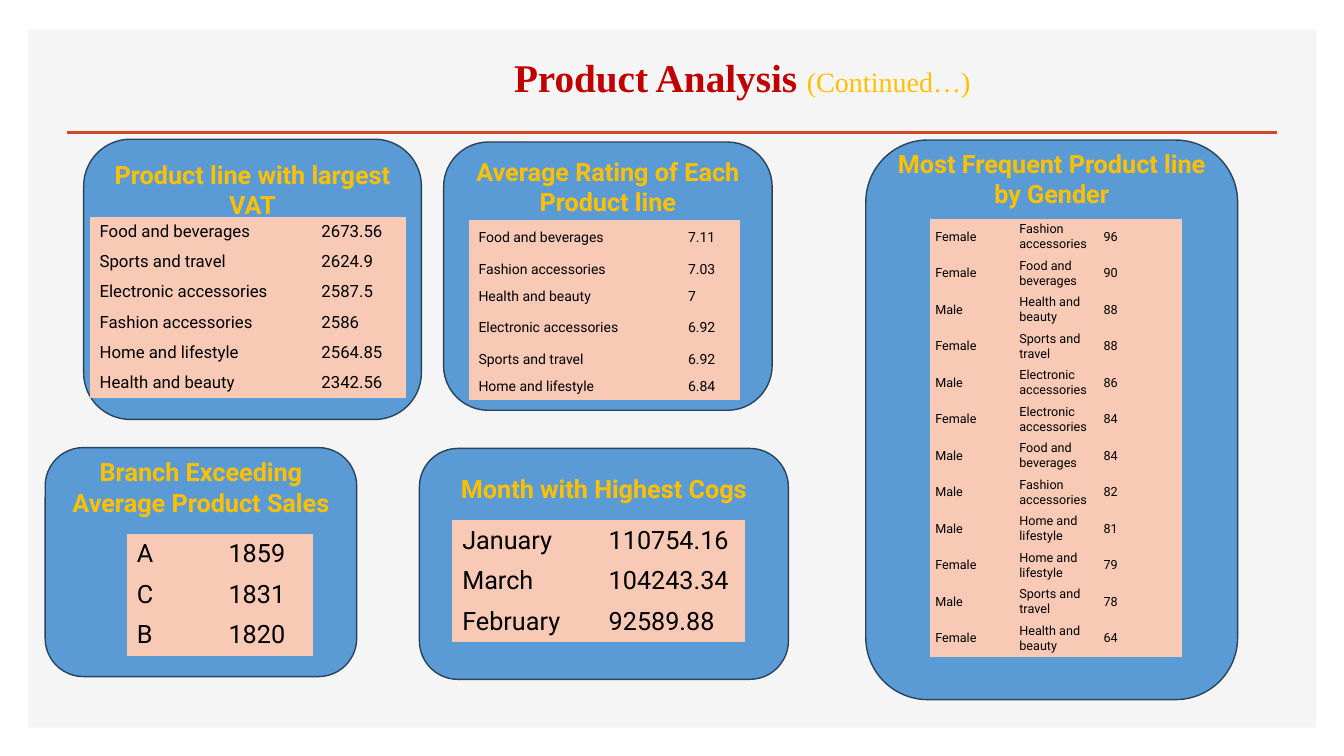
from pptx import Presentation
from pptx.dml.color import RGBColor
from pptx.enum.shapes import MSO_CONNECTOR, MSO_SHAPE
from pptx.enum.text import MSO_ANCHOR, MSO_AUTO_SIZE, PP_ALIGN
from pptx.oxml.ns import qn
from pptx.util import Cm, Pt

RECT, ROUNDED = MSO_SHAPE.RECTANGLE, MSO_SHAPE.ROUNDED_RECTANGLE
TOP, MIDDLE = MSO_ANCHOR.TOP, MSO_ANCHOR.MIDDLE
CENTER, LEFT = PP_ALIGN.CENTER, PP_ALIGN.LEFT
NO_STYLE = "{2D5ABB26-0587-4C30-8999-92F81FD0307C}"

PANEL, RULE, RED, GOLD = "F5F5F5", "D24726", "C00000", "FFC000"
BLUE, NAVY, PEACH, BLACK = "5B9BD5", "28445D", "F8CAB6", "000000"

# All lengths in cm: box is left, top, width, height; pad is the cell's side and top inset
CARDS = [
    {"heading": "Product line with largest VAT", "box": (2.11, 3.51, 8.51, 7.06),
     "heading_top": 4.01, "table_at": (2.26, 5.46), "cols": (5.59, 2.39),
     "heights": [0.76] * 6, "size": 12, "pad": (0.25, 0.13),
     "rows": [("Food and beverages", "2673.56"), ("Sports and travel", "2624.9"),
              ("Electronic accessories", "2587.5"), ("Fashion accessories", "2586"),
              ("Home and lifestyle", "2564.85"), ("Health and beauty", "2342.56")]},
    {"heading": "Branch Exceeding Average Product Sales", "box": (1.14, 11.28, 7.85, 5.77),
     "heading_top": 11.51, "table_at": (3.2, 13.46), "cols": (2.31, 2.39),
     "heights": [1.02] * 3, "size": 18, "pad": (0.25, 0.13),
     "rows": [("A", "1859"), ("C", "1831"), ("B", "1820")]},
    {"heading": "Average Rating of Each Product line", "box": (11.18, 3.58, 8.28, 6.76),
     "heading_top": 3.94, "table_at": (11.81, 5.54), "cols": (5.28, 1.57),
     "heights": [0.92, 0.67, 0.67] * 2, "size": 10, "pad": (0.25, 0.13),
     "rows": [("Food and beverages", "7.11"), ("Fashion accessories", "7.03"),
              ("Health and beauty", "7"), ("Electronic accessories", "6.92"),
              ("Sports and travel", "6.92"), ("Home and lifestyle", "6.84")]},
    {"heading": "Most Frequent Product line by Gender", "box": (21.82, 3.53, 9.37, 14.1),
     "heading_top": 3.73, "table_at": (23.44, 5.51), "cols": (2.12, 2.12, 2.12),
     "heights": [0.92] * 12, "size": 9, "pad": (0.13, 0.08),
     "rows": [("Female", "Fashion accessories", "96"), ("Female", "Food and beverages", "90"),
              ("Male", "Health and beauty", "88"), ("Female", "Sports and travel", "88"),
              ("Male", "Electronic accessories", "86"), ("Female", "Electronic accessories", "84"),
              ("Male", "Food and beverages", "84"), ("Male", "Fashion accessories", "82"),
              ("Male", "Home and lifestyle", "81"), ("Female", "Home and lifestyle", "79"),
              ("Male", "Sports and travel", "78"), ("Female", "Health and beauty", "64")]},
    {"heading": "Month with Highest Cogs", "box": (10.57, 11.3, 9.3, 5.82),
     "heading_top": 11.94, "table_at": (11.4, 13.11), "cols": (3.69, 3.69),
     "heights": [1.02] * 3, "size": 18, "pad": (0.25, 0.13),
     "rows": [("January", "110754.16"), ("March", "104243.34"), ("February", "92589.88")]},
]


def rgb(value):
    return RGBColor.from_string(value)


def set_font(font, name, size, color, bold=False):
    font.name, font.size, font.bold = name, Pt(size), bold
    font.color.rgb = rgb(color)


def add_box(s, kind, box, fill, line=None):
    sp = s.shapes.add_shape(kind, *map(Cm, box))
    sp.shadow.inherit = False
    sp.fill.solid()
    sp.fill.fore_color.rgb = rgb(fill)
    if line:
        sp.line.color.rgb = rgb(line)
        sp.line.width = Pt(1)
    else:
        sp.line.fill.background()
    return sp


def add_title(s):
    title = s.shapes.title
    title.left, title.top, title.width, title.height = map(Cm, (12.7, 1.22, 16.94, 1.45))
    tf = title.text_frame
    tf.auto_size, tf.vertical_anchor = MSO_AUTO_SIZE.NONE, MIDDLE
    p = tf.paragraphs[0]
    p.alignment = LEFT
    for text, size, color, bold in [("Product Analysis ", 28, RED, True),
                                    ("(Continued…)", 20, GOLD, False)]:
        r = p.add_run()
        r.text = text
        set_font(r.font, "Times New Roman", size, color, bold)
    return title


def add_backdrop(s, title):
    """Put the grey panel and the rule behind the title."""
    panel = add_box(s, RECT, (0.71, 0.74, 32.46, 17.6), PANEL)
    rule = s.shapes.add_connector(MSO_CONNECTOR.STRAIGHT, Cm(1.68), Cm(3.33), Cm(32.18), Cm(3.33))
    rule.line.color.rgb = rgb(RULE)
    rule.line.width = Pt(2)
    rule.element.spPr.add_effectLst() if hasattr(rule.element.spPr, "add_effectLst") else \
        rule.element.spPr.append(rule.element.spPr.makeelement(qn("a:effectLst"), {}))
    for shape in (panel, rule):
        title.element.addprevious(shape.element)


def add_card(s, card):
    sp = add_box(s, ROUNDED, card["box"], BLUE, NAVY)
    _, top, width, height = card["box"]
    corner_inset = 0.0488 * min(width, height)  # text area starts inside the rounded corner
    tf = sp.text_frame
    tf.word_wrap, tf.vertical_anchor = True, TOP
    tf.margin_top = Cm(card["heading_top"] - top - corner_inset)
    p = tf.paragraphs[0]
    p.text, p.alignment = card["heading"], CENTER
    set_font(p.font, "Roboto", 18, GOLD, True)


def add_card_table(s, card):
    rows, cols, heights = card["rows"], card["cols"], card["heights"]
    frame = s.shapes.add_table(len(rows), len(cols), *map(Cm, card["table_at"]),
                               Cm(sum(cols)), Cm(sum(heights)))
    for style in frame.element.iter(qn("a:tableStyleId")):
        style.text = NO_STYLE
    table = frame.table
    table.first_row = table.horz_banding = False
    for column, width in zip(table.columns, cols):
        column.width = Cm(width)
    side, edge = map(Cm, card["pad"])
    for row, height, values in zip(table.rows, heights, rows):
        row.height = Cm(height)
        for cell, value in zip(row.cells, values):
            cell.fill.solid()
            cell.fill.fore_color.rgb = rgb(PEACH)
            cell.vertical_anchor = MIDDLE
            cell.margin_left = cell.margin_right = side
            cell.margin_top = cell.margin_bottom = edge
            p = cell.text_frame.paragraphs[0]
            p.text = value
            set_font(p.font, "Roboto", card["size"], BLACK)


def main():
    prs = Presentation()
    prs.slide_width, prs.slide_height = Cm(33.87), Cm(19.05)
    s = prs.slides.add_slide(prs.slide_layouts[5])
    add_backdrop(s, add_title(s))
    for card in CARDS:
        add_card(s, card)
        add_card_table(s, card)
    prs.save("out.pptx")


if __name__ == "__main__":
    main()
